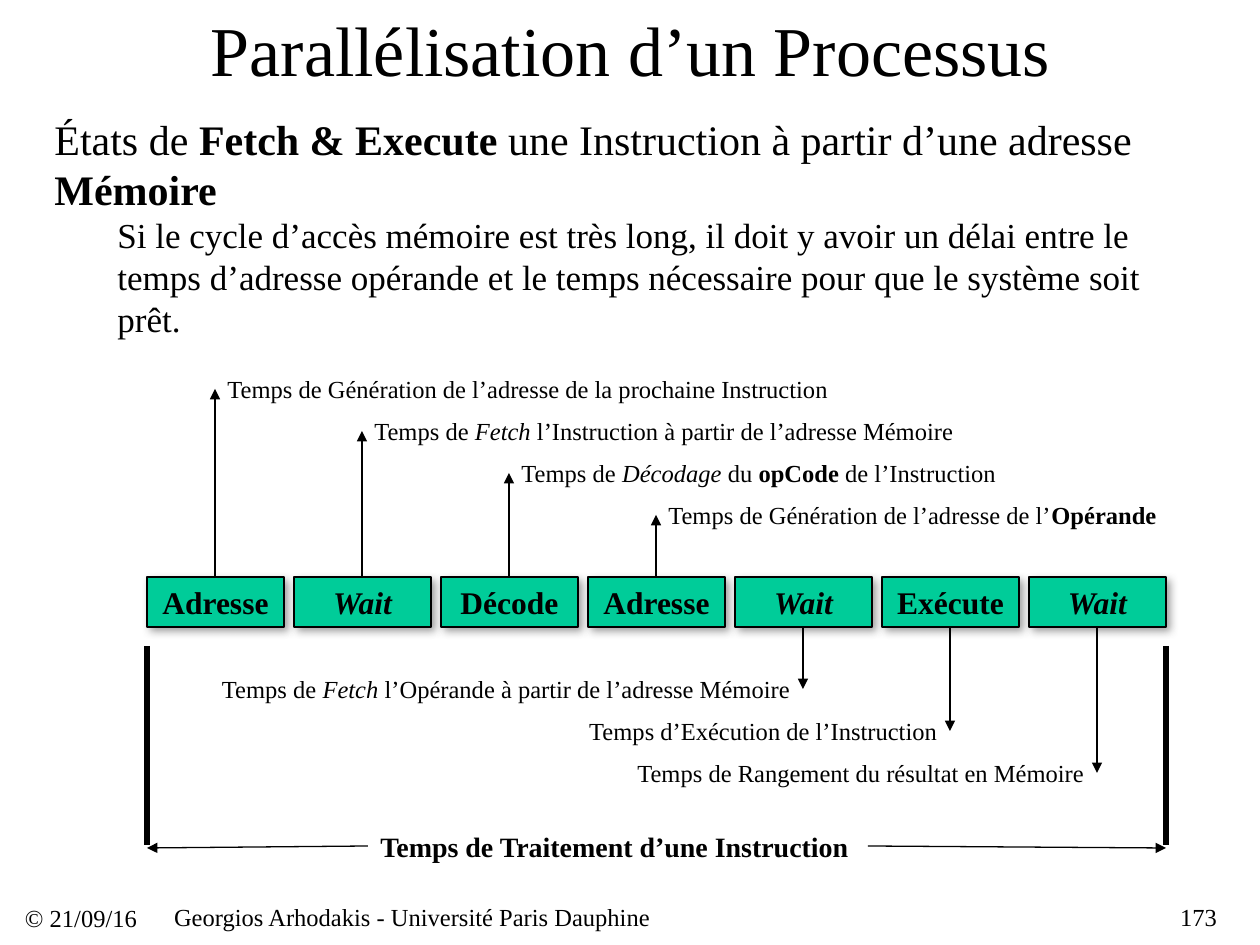
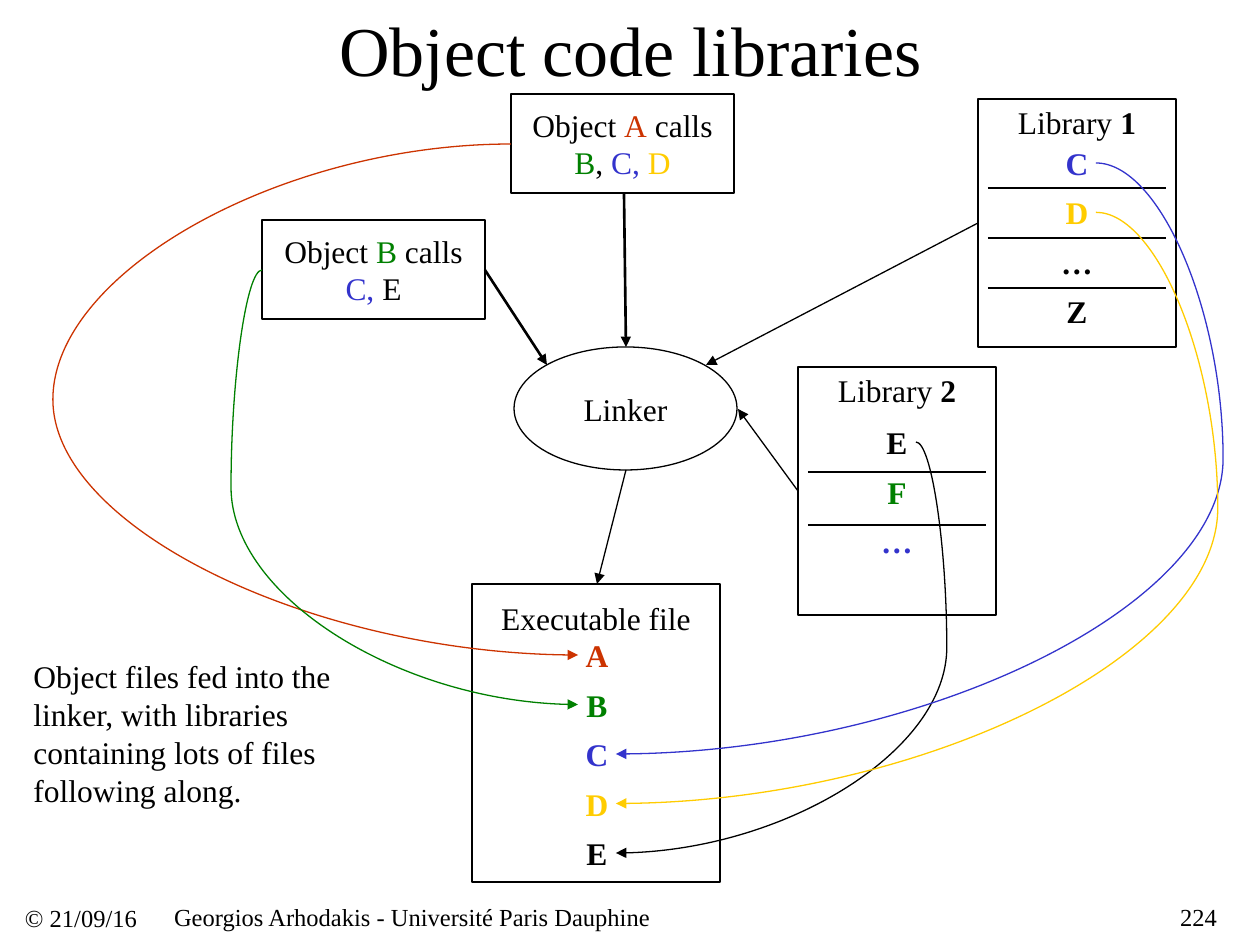
from dataclasses import dataclass

from lxml import etree
from pptx import Presentation
from pptx.dml.color import RGBColor
from pptx.enum import shapes, text
from pptx.oxml.ns import qn
from pptx.util import Emu, Pt

PX = 914400 / 126
WIDTH, HEIGHT = 1260, 945


@dataclass(frozen=True)
class Theme:
    font = "Times New Roman"
    title, lead, detail, total, label, caption = 40, 24, 20, 16, 18, 14
    thin, medium, thick = 0.75, 1.5, 3
    colours = {"black": "000000", "red": "CC3300", "green": "008000", "blue": "3333CC",
               "yellow": "FFCC00", "teal": "00CC99", "grey": "808080"}


THEME = Theme()
LEFT, CENTER, RIGHT = text.PP_ALIGN.LEFT, text.PP_ALIGN.CENTER, text.PP_ALIGN.RIGHT
TOP, MIDDLE = text.MSO_ANCHOR.TOP, text.MSO_ANCHOR.MIDDLE
RECTANGLE, OVAL = shapes.MSO_SHAPE.RECTANGLE, shapes.MSO_SHAPE.OVAL

# ---- Content: a span is a string or (string, style words) ----
FOOTER_DATE = "© 21/09/16"
FOOTER_AUTHOR = "Georgios Arhodakis - Université Paris Dauphine"

PROCESS_TITLE = "Parallélisation d’un Processus"
PROCESS_LEAD = ["États de ", ("Fetch & Execute", "bold"),
                " une Instruction à partir d’une adresse ", ("Mémoire", "bold")]
PROCESS_DETAIL = ["Si le cycle d’accès mémoire est très long, il doit y avoir un délai entre le "
                  "temps d’adresse opérande et le temps nécessaire pour que le système soit prêt."]
STAGES = ["Adresse", "Wait", "Décode", "Adresse", "Wait", "Exécute", "Wait"]
# Caption width in px, spans; the first four stand above the stages, the others below
CAPTIONS_ABOVE = [
    (634, ["Temps de Génération de l’adresse de la prochaine Instruction"]),
    (605, ["Temps de ", ("Fetch", "italic"), " l’Instruction à partir de l’adresse Mémoire"]),
    (500, ["Temps de ", ("Décodage", "italic"), " du ", ("opCode", "bold"), " de l’Instruction"]),
    (514, ["Temps de Génération de l’adresse de l’", ("Opérande", "bold")]),
]
CAPTIONS_BELOW = [
    (595, ["Temps de ", ("Fetch", "italic"), " l’Opérande à partir de l’adresse Mémoire"]),
    (374, ["Temps d’Exécution de l’Instruction"]),
    (474, ["Temps de Rangement du résultat en Mémoire"]),
]
TOTAL_TIME = [("Temps de Traitement d’une Instruction", "bold")]

LINKER_TITLE = "Object code libraries"
LINKER_NOTE = ["Object files fed into the linker, with libraries containing lots of files "
               "following along."]
OBJECTS = [
    ((511, 94, 223, 99), ["Object ", ("A", "red"), " calls ", ("B", "green"), ", ",
                          ("C, ", "blue"), ("D", "yellow")]),
    ((262, 220, 223, 99), ["Object ", ("B", "green"), " calls ", ("C, ", "blue"), "E"]),
]
# Box, heading, top inset, line spacing
FILES = [
    ((978, 99, 198, 248), ["Library ", ("1", "bold")], 20, 0.5),
    ((798, 367, 198, 248), ["Library ", ("2", "bold")], 20, 0.5),
    ((472, 584, 248, 298), ["Executable file"], 15, 1),
]
# Left, first top, last top, entries
LIBRARY_1 = (1058, 144, 292, [("C", "blue"), ("D", "yellow"), ("…", "black"), ("Z", "black")])
LIBRARY_2 = (878, 423, 522, [("E", "black"), ("F", "green"), ("…", "blue")])
EXECUTABLE = (578, 636, 834, [("A", "red"), ("B", "green"), ("C", "blue"), ("D", "yellow"),
                              ("E", "black")])
LETTER = 38
# Left, right, heights of the dividers in each library
DIVIDERS = [(988, 1166, (188, 238, 288)), (808, 986, (472, 525))]
LINKS = [
    ((624, 194), (626, 347), THEME.medium),
    ((485, 270), (547, 365), THEME.medium),
    ((978, 223), (706, 365), THEME.thin),
    ((798, 491), (738, 409), THEME.thin),
    ((626, 470), (597, 584), THEME.thin),
]


# ---- Drawing helpers ----
def place(*lengths):
    return [Emu(round(length * PX)) for length in lengths]


def colour(name):
    return RGBColor.from_string(THEME.colours[name])


def add_spans(para, spans, size, align=LEFT):
    para.alignment = align
    for item in spans:
        words, style = (item, "") if isinstance(item, str) else item
        span = para.add_run()
        span.text = words
        font = span.font
        font.name, font.size = THEME.font, Pt(size)
        font.bold, font.italic = "bold" in style, "italic" in style
        font.color.rgb = colour(next((c for c in THEME.colours if c in style), "black"))


def set_frame(frame, anchor, wrap=True, insets=None):
    frame.word_wrap = wrap
    frame.auto_size = text.MSO_AUTO_SIZE.NONE
    frame.vertical_anchor = anchor
    if insets is not None:
        (frame.margin_left, frame.margin_top,
         frame.margin_right, frame.margin_bottom) = place(*insets)


def add_text(page, bounds, spans, size, align=LEFT, anchor=TOP, wrap=True, insets=None):
    box = page.shapes.add_textbox(*place(*bounds))
    set_frame(box.text_frame, anchor, wrap, insets)
    add_spans(box.text_frame.paragraphs[0], spans, size, align)
    return box


def add_box(page, bounds, spans, kind=RECTANGLE, fill=None, anchor=MIDDLE, wrap=True,
            insets=None):
    box = page.shapes.add_shape(kind, *place(*bounds))
    box.shadow.inherit = False
    if fill:
        box.fill.solid()
        box.fill.fore_color.rgb = colour(fill)
    else:
        box.fill.background()
    box.line.color.rgb = colour("black")
    box.line.width = Pt(THEME.thin)
    set_frame(box.text_frame, anchor, wrap, insets)
    add_spans(box.text_frame.paragraphs[0], spans, THEME.label, CENTER)
    return box


def add_drop_shadow(box):
    effects = box.element.spPr.find(qn("a:effectLst"))
    shadow = etree.SubElement(effects, qn("a:outerShdw"), blurRad=str(Pt(5)), dist=str(Pt(3)),
                              dir=str(45 * 60000), algn="ctr", rotWithShape="0")
    tint = etree.SubElement(shadow, qn("a:srgbClr"), val=THEME.colours["grey"])
    etree.SubElement(tint, qn("a:alpha"), val="75000")


def add_line(page, start, end, width=THEME.thin, arrow=True, tint="black", bend=None):
    """Draw a straight line, or a curve that swings out to the x position bend."""
    kind = shapes.MSO_CONNECTOR.STRAIGHT if bend is None else shapes.MSO_CONNECTOR.CURVE
    line = page.shapes.add_connector(kind, *place(*start, *end))
    line.line.color.rgb = colour(tint)
    line.line.width = Pt(width)
    properties = line.element.spPr
    if arrow:
        etree.SubElement(properties.find(qn("a:ln")), qn("a:tailEnd"), type="triangle")
    etree.SubElement(properties, qn("a:effectLst"))
    if bend is not None:
        geometry = properties.find(qn("a:prstGeom"))
        guides = geometry.find(qn("a:avLst"))
        if guides is None:
            guides = etree.SubElement(geometry, qn("a:avLst"))
        share = round(100000 * (bend - start[0]) / (end[0] - start[0]))
        etree.SubElement(guides, qn("a:gd"), name="adj1", fmla=f"val {share}")


def add_page(deck, title, number):
    page = deck.slides.add_slide(deck.slide_layouts[5])
    heading = page.shapes.title
    heading.left, heading.top, heading.width, heading.height = place(95, 0, 1071, 97)
    set_frame(heading.text_frame, MIDDLE)
    add_spans(heading.text_frame.paragraphs[0], [title], THEME.title, CENTER)
    heading.top, heading.height = place(0, 97)
    footers = [((25, 888, 136, 59), FOOTER_DATE, LEFT), ((174, 902, 861, 29), FOOTER_AUTHOR, LEFT),
               ((1091, 902, 126, 29), number, RIGHT)]
    for bounds, words, align in footers:
        add_text(page, bounds, [words], THEME.caption, align, MIDDLE, insets=(0, 0, 0, 0))
    return page


# ---- Slide: stages of one instruction ----
def build_process(deck):
    page = add_page(deck, PROCESS_TITLE, "173")
    body = add_text(page, (42, 107, 1155, 239), PROCESS_LEAD, THEME.lead, anchor=MIDDLE)
    detail = body.text_frame.add_paragraph()
    detail.level = 1
    detail._p.get_or_add_pPr().set("marL", str(place(63)[0]))
    detail._p.get_or_add_pPr().set("indent", "0")
    add_spans(detail, PROCESS_DETAIL, THEME.detail)

    left, pitch, width, top, height = 147, 147, 137, 577, 50
    for index, stage in enumerate(STAGES):
        style = "bold italic" if stage == "Wait" else "bold"
        box = add_box(page, (left + index * pitch, top, width, height), [(stage, style)],
                      fill="teal", wrap=False)
        add_drop_shadow(box)

    # Each arrow tip is one step lower than the one before
    step, lift, caption_height = 42, 21, 42
    for index, (length, spans) in enumerate(CAPTIONS_ABOVE + CAPTIONS_BELOW):
        middle = left + index * pitch + width // 2
        above = index < len(CAPTIONS_ABOVE)
        tip = 389 + index * step if above else 689 + (index - len(CAPTIONS_ABOVE)) * step
        add_line(page, (middle, top if above else top + height), (middle, tip))
        add_text(page, (middle if above else middle - length, tip - lift, length, caption_height),
                 spans, THEME.caption, LEFT if above else RIGHT, wrap=False)

    # Overall duration
    right = left + (len(STAGES) - 1) * pitch + width
    for edge, inner in ((left, 368), (right, 868)):
        add_line(page, (edge, 646), (edge, 845), THEME.thick, arrow=False)
        add_line(page, (inner, 846), (edge, 848))
    add_text(page, (368, 823, 500, 46), TOTAL_TIME, THEME.total, wrap=False)


# ---- Slide: linker and libraries ----
def add_letters(page, left, first, last, entries):
    """Stack the entries evenly and return the middle height of each."""
    step = (last - first) / (len(entries) - 1)
    middles = {}
    for index, (letter, tint) in enumerate(entries):
        top = first + index * step
        add_text(page, (left, top, LETTER, LETTER), [(letter, f"bold {tint}")], THEME.label,
                 CENTER, MIDDLE, insets=(0, 0, 0, 0))
        middles[letter] = top + LETTER / 2
    return middles


def build_linker(deck):
    page = add_page(deck, LINKER_TITLE, "224")
    add_box(page, (514, 347, 223, 123), ["Linker"], OVAL)
    for bounds, spans in OBJECTS:
        add_box(page, bounds, spans)
    for bounds, spans, inset, spacing in FILES:
        box = add_box(page, bounds, spans, anchor=TOP, insets=(0, inset, 0, 0))
        box.text_frame.paragraphs[0].line_spacing = spacing
    add_text(page, (21, 651, 336, 164), LINKER_NOTE, THEME.label, anchor=MIDDLE)

    for start, end, width in LINKS:
        add_line(page, start, end, width)
    for left, right, heights in DIVIDERS:
        for height in heights:
            add_line(page, (left, height), (right, height), arrow=False)

    library_1, library_2, executable = [add_letters(page, *column)
                                        for column in (LIBRARY_1, LIBRARY_2, EXECUTABLE)]

    # Curves from each source to its place in the executable
    target_left = EXECUTABLE[0]
    target_right = target_left + LETTER
    right_1, right_2 = LIBRARY_1[0] + LETTER, LIBRARY_2[0] + LETTER
    curves = [
        ("A", (511, 144), target_left, 53),
        ("B", (262, 270), target_left, 231),
        ("E", (right_2, library_2["E"]), target_right, 947),
        ("C", (right_1, library_1["C"]), target_right, 1223),
        ("D", (right_1, library_1["D"]), target_right, 1218),
    ]
    tints = dict(EXECUTABLE[3])
    for letter, start, end_left, bend in curves:
        add_line(page, start, (end_left, executable[letter]), tint=tints[letter], bend=bend)


def main():
    deck = Presentation()
    deck.slide_width, deck.slide_height = place(WIDTH, HEIGHT)
    build_process(deck)
    build_linker(deck)
    deck.save("out.pptx")


if __name__ == "__main__":
    main()
